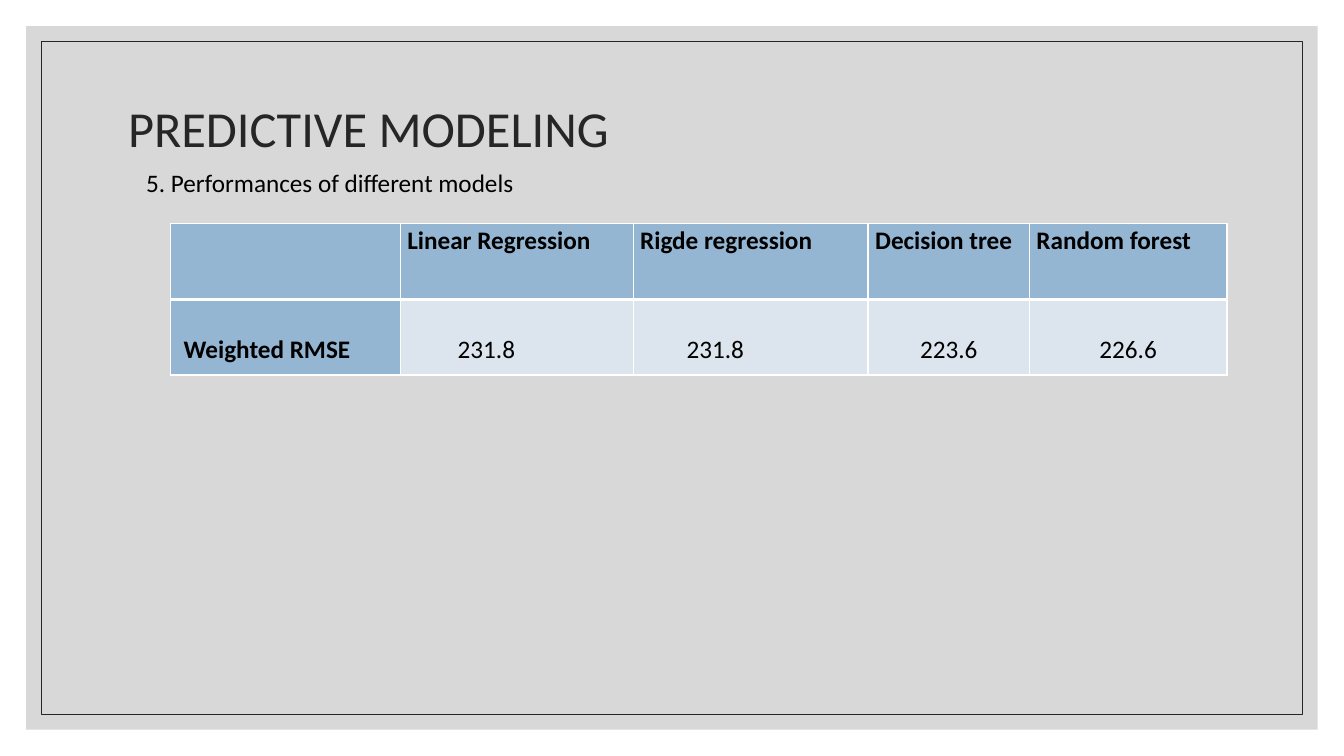
import pptx
import pptx.util
import pptx.dml.color
import pptx.enum.shapes
import pptx.enum.text
import pptx.oxml.ns
from lxml import etree

Inches = pptx.util.Inches
Pt = pptx.util.Pt
RGBColor = pptx.dml.color.RGBColor
Align = pptx.enum.text.PP_ALIGN
Anchor = pptx.enum.text.MSO_ANCHOR

WHITE = RGBColor(0xFF, 0xFF, 0xFF)
BLACK = RGBColor(0, 0, 0)
DARK = RGBColor(0x26, 0x26, 0x26)
GRAY = RGBColor(0xBF, 0xBF, 0xBF)
BLUE = RGBColor(0x94, 0xB6, 0xD2)
PALE = RGBColor(0xDC, 0xE5, 0xEE)

HEADS = ["", "Linear Regression", "Rigde regression", "Decision tree", "Random forest"]
SCORES = ["Weighted RMSE", "231.8", "231.8", "223.6", "226.6"]
WIDTHS = [2.28, 2.31, 2.33, 1.6, 1.96]
INDENTS = [0.13, 0.57, 0.53, 0.07, 0.07]
ROW = 0.75


def sub(parent, tag, **attrs):
    return etree.SubElement(parent, pptx.oxml.ns.qn(tag), attrs)


def style(para, size, color, bold=False):
    font = para.font
    font.name = "Calibri"
    font.size = Pt(size)
    font.color.rgb = color
    font.bold = bold


def add_rect(slide, margin):
    """Add a plain rectangle at an equal distance from all slide edges."""
    rect = slide.shapes.add_shape(
        pptx.enum.shapes.MSO_SHAPE.RECTANGLE, Inches(margin), Inches(margin),
        Inches(13.33 - 2 * margin), Inches(7.5 - 2 * margin))
    rect.shadow.inherit = False
    return rect


def add_frame(slide):
    panel = add_rect(slide, 0.26)
    panel.fill.solid()
    panel.fill.fore_color.rgb = GRAY
    panel.line.fill.background()
    tint = panel.fill._xPr.find(".//" + pptx.oxml.ns.qn("a:srgbClr"))
    sub(tint, "a:alpha", val="60000")
    border = add_rect(slide, 0.41)
    border.fill.background()
    border.line.color.rgb = DARK
    border.line.width = Pt(0.5)


def set_title(slide, text):
    title = slide.shapes.title
    title.left, title.top = Inches(1.17), Inches(0.99)
    title.width, title.height = Inches(11), Inches(0.62)
    title.text_frame.text = text
    title.text_frame.vertical_anchor = Anchor.MIDDLE
    para = title.text_frame.paragraphs[0]
    para.alignment = Align.LEFT
    para.line_spacing = 0.9
    style(para, 36, DARK)
    tree = slide.shapes._spTree
    tree.remove(title._element)
    tree.append(title._element)


def add_label(slide, text):
    box = slide.shapes.add_textbox(Inches(1.35), Inches(1.61), Inches(9.59), Inches(0.4))
    box.text_frame.word_wrap = True
    box.text_frame.text = text
    style(box.text_frame.paragraphs[0], 18, BLACK)


def set_edges(cell, top, bottom):
    props = cell._tc.get_or_add_tcPr()
    for side, width in (("L", 1), ("R", 1), ("T", top), ("B", bottom)):
        line = sub(props, "a:ln" + side, w=str(Pt(width)))
        sub(sub(line, "a:solidFill"), "a:srgbClr", val=str(WHITE))


def fill_cell(cell, text, head, fill, align, indent, top):
    """Write one cell, with its text set in from the left and the top."""
    set_edges(cell, *((1, 3) if head else (3, 1)))
    cell.fill.solid()
    cell.fill.fore_color.rgb = fill
    cell.margin_left, cell.margin_right = Inches(indent), Inches(0.07)
    cell.margin_top, cell.margin_bottom = Inches(top), 0
    cell.text = text
    para = cell.text_frame.paragraphs[0]
    para.alignment = align
    para.line_spacing = 1.07
    style(para, 18, BLACK, bold=fill == BLUE)


def add_scores(slide):
    table = slide.shapes.add_table(
        2, len(HEADS), Inches(1.69), Inches(2.22),
        Inches(sum(WIDTHS)), Inches(2 * ROW)).table
    table.horz_banding = False
    for row in table.rows:
        row.height = Inches(ROW)
    for col, width in enumerate(WIDTHS):
        table.columns[col].width = Inches(width)
        fill_cell(table.cell(0, col), HEADS[col], True, BLUE, Align.JUSTIFY, 0.07, 0)
        fill_cell(table.cell(1, col), SCORES[col], False, PALE if col else BLUE,
                  Align.CENTER if col > 2 else Align.JUSTIFY, INDENTS[col], 0.33)


def main():
    deck = pptx.Presentation()
    deck.slide_width, deck.slide_height = Inches(13.33), Inches(7.5)
    slide = deck.slides.add_slide(deck.slide_layouts[5])
    add_frame(slide)
    set_title(slide, "PREDICTIVE MODELING")
    add_label(slide, "5. Performances of different models")
    add_scores(slide)
    deck.save("out.pptx")


if __name__ == "__main__":
    main()
